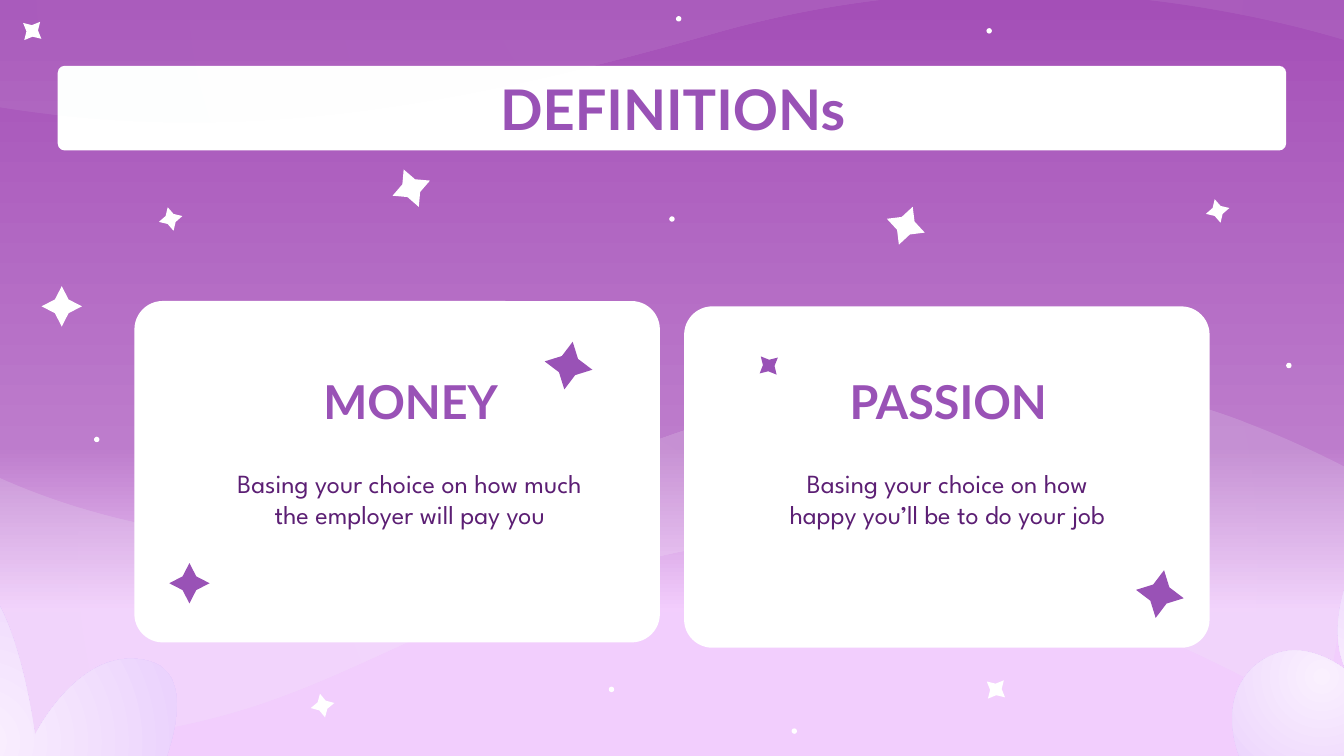
import math

import pptx
import pptx.dml.color
import pptx.enum.shapes
import pptx.enum.text
import pptx.oxml
import pptx.oxml.ns
import pptx.util
from lxml import etree

Inches = pptx.util.Inches
qn = pptx.oxml.ns.qn
SHAPES = pptx.enum.shapes.MSO_SHAPE

PAGE_WIDTH, PAGE_HEIGHT = 10, 10 * 9 / 16
WHITE, PURPLE, PLUM = "FFFFFF", "9952B6", "5C1F74"
SKY = [(0, "F2CEFD", 100), (19, "F3CEFD", 100), (41, "BD7CCC", 100), (100, "A44FB7", 100)]
CLOUD = [(0, "FAF0FE", 100), (100, "E3C3FC", 100)]

# Outlines: a pair is a straight point, six numbers are a Bezier curve
TOP_WAVE = [
    (1.41, 0.91), (0.34, 0.91, -0.72, 0.72, -1.89, 0.3), (-1.5, -1.13),
    (-1.5, -1.13, 0.97, -0.09, 3.27, -0.09), (3.57, -0.09, 3.87, -0.1, 4.16, -0.14),
    (6.66, -0.5, 7.18, -1.2, 9.62, -1.25), (10.1, -1.26, 10.42, -1.27, 10.62, -1.27),
    (11.41, -1.27, 10.28, -1.2, 10.28, -1.2), (10.45, 0.45),
    (10.45, 0.45, 9.23, -0.06, 7.54, -0.06), (6.86, -0.06, 6.12, 0.02, 5.34, 0.24),
    (3.88, 0.66, 2.63, 0.91, 1.41, 0.91)]
BOTTOM_WAVE = [
    (7.35, 2.78), (8.27, 2.78, 9.17, 3.02, 10.17, 3.56), (9.84, 5.36),
    (9.84, 5.36, 7.73, 4.04, 5.76, 4.04), (5.5, 4.04, 5.24, 4.06, 4.99, 4.12),
    (2.85, 4.56, 2.41, 5.45, 0.33, 5.51), (-0.09, 5.53, -0.36, 5.53, -0.53, 5.53),
    (-1.21, 5.53, -0.24, 5.45, -0.24, 5.45), (-0.39, 3.36),
    (-0.39, 3.36, 0.65, 4.01, 2.11, 4.01), (2.68, 4.01, 3.32, 3.91, 3.98, 3.63),
    (5.24, 3.1, 6.3, 2.78, 7.35, 2.78)]
RIGHT_CLOUD = [
    (10.44, 3.95), (10.59, 3.95, 10.72, 4.03, 10.72, 4.03), (10.85, 6.06),
    (10.85, 6.06, 10.16, 6.12, 9.6, 6.12), (9.17, 6.12, 8.82, 6.09, 8.86, 5.97),
    (8.95, 5.74, 9.16, 5.71, 9.24, 5.71), (9.25, 5.71, 9.26, 5.72, 9.26, 5.72),
    (9.26, 5.72, 9.02, 5.27, 9.32, 4.97), (9.42, 4.88, 9.53, 4.84, 9.63, 4.84),
    (9.84, 4.84, 10.02, 4.99, 10.02, 4.99), (10.02, 4.99, 9.85, 4.72, 10.06, 4.23),
    (10.16, 4.01, 10.31, 3.95, 10.44, 3.95)]
LEFT_CLOUD = [
    (-0.22, 4.29), (-0.26, 4.28, -0.3, 4.28, -0.34, 4.3),
    (-0.77, 4.46, -0.67, 5.32, -0.67, 5.32), (-0.67, 5.32, -1.09, 5.06, -1.34, 4.99),
    (-1.46, 4.95, -1.55, 4.97, -1.52, 5.08), (-1.42, 5.44, -2.11, 5.55, -2.11, 5.55),
    (-1.59, 5.85), (1.35, 6.66), (1.7, 6.76, 1.81, 6.18, 1.52, 6.09),
    (1.5, 6.09, 1.49, 6.09, 1.48, 6.09), (1.14, 6.05, 1.04, 6.09, 1.04, 6.09),
    (1.04, 6.09, 1.61, 5.06, 1.11, 4.92), (0.6, 4.78, 0.26, 5.47, 0.26, 5.47),
    (0.26, 5.47, 0.12, 4.38, -0.22, 4.29)]

# Stars: centre x, centre y, radius, clockwise tilt
BACK_STARS = [(0.46, 2.28, 0.15, 0), (2.4, 5.25, 0.09, -12),
              (7.41, 5.13, 0.09, 41), (0.24, 0.23, 0.09, 41)]
FRONT_STARS = [(3.06, 1.4, 0.15, -22), (6.74, 1.68, 0.15, 20),
               (1.27, 1.63, 0.09, -14), (9.06, 1.57, 0.09, -14)]
CARD_STARS = [(4.23, 2.72, 0.18, 10), (1.41, 4.34, 0.15, 0),
              (5.72, 2.72, 0.09, -41), (8.63, 4.42, 0.18, 10)]
DOTS = [(9.57, 2.7), (5.03, 0.12), (7.34, 0.21), (4.53, 5.11),
        (5.89, 5.42), (0.7, 3.25), (4.98, 1.61)]


def color(value):
    return pptx.dml.color.RGBColor.from_string(value)


def paint(shape, fill):
    """Fill with a hex colour; no line, no shadow."""
    shape.shadow.inherit = False
    shape.fill.solid()
    shape.fill.fore_color.rgb = color(fill)
    shape.line.fill.background()


def paint_gradient(shape, stops, angle=None):
    """Linear gradient when an angle is given, otherwise radial from the middle."""
    paint(shape, WHITE)
    shape.fill.gradient()
    gradient = shape._element.spPr.find(qn("a:gradFill"))
    for child in list(gradient):
        gradient.remove(child)
    stop_list = etree.SubElement(gradient, qn("a:gsLst"))
    for position, value, opacity in stops:
        stop = etree.SubElement(stop_list, qn("a:gs"), pos=str(position * 1000))
        tone = etree.SubElement(stop, qn("a:srgbClr"), val=value)
        if opacity < 100:
            etree.SubElement(tone, qn("a:alpha"), val=str(opacity * 1000))
    if angle is None:
        radial = etree.SubElement(gradient, qn("a:path"), path="circle")
        etree.SubElement(radial, qn("a:fillToRect"), l="50000", t="50000", r="50000", b="50000")
    else:
        etree.SubElement(gradient, qn("a:lin"), ang=str(angle * 60000), scaled="0")


def add_preset(page, kind, left, top, width, height, fill=WHITE):
    shape = page.shapes.add_shape(kind, Inches(left), Inches(top), Inches(width), Inches(height))
    if kind == SHAPES.ROUNDED_RECTANGLE:
        shape.adjustments[0] = 0.083
    paint(shape, fill)
    return shape


def add_outline(page, segments):
    """Build a closed freeform, then join each curve's three points."""
    points = [(Inches(seg[i]), Inches(seg[i + 1])) for seg in segments for i in range(0, len(seg), 2)]
    builder = page.shapes.build_freeform(*points[0])
    builder.add_line_segments(points[1:], close=True)
    shape = builder.convert_to_shape()
    lines = iter(list(shape._element.iter(qn("a:lnTo"))))
    for segment in segments[1:]:
        first = next(lines)
        if len(segment) == 6:
            curve = etree.Element(qn("a:cubicBezTo"))
            first.addprevious(curve)
            for line in (first, next(lines), next(lines)):
                curve.append(line[0])
                line.getparent().remove(line)
    return shape


def add_stars(page, stars, fill):
    for x, y, radius, tilt in stars:
        points = []
        for step in range(8):
            angle = math.radians(tilt + 45 * step)
            reach = radius * (0.48 if step % 2 else 1)
            points.append((x + reach * math.sin(angle), y - reach * math.cos(angle)))
        paint(add_outline(page, points), fill)


def fill_placeholder(page, index, text, place, font, size, tone, bold=False):
    box = page.placeholders[index]
    box.left, box.top, box.width, box.height = map(Inches, place)
    page.shapes._spTree.append(box._element)
    frame = box.text_frame
    frame.text = text
    frame.word_wrap = True
    frame.auto_size = pptx.enum.text.MSO_AUTO_SIZE.NONE
    frame.vertical_anchor = pptx.enum.text.MSO_ANCHOR.MIDDLE
    frame.margin_left = frame.margin_right = frame.margin_top = frame.margin_bottom = Inches(0.1)
    para = frame.paragraphs[0]
    properties = para._p.get_or_add_pPr()
    properties.set("marL", "0")
    properties.set("indent", "0")
    etree.SubElement(properties, qn("a:buNone"))
    para.alignment = pptx.enum.text.PP_ALIGN.CENTER
    para.space_before = pptx.util.Pt(0)
    span = para.runs[0].font
    span.name, span.size, span.bold = font, pptx.util.Pt(size), bold
    span.color.rgb = color(tone)


def add_background(page, width, height):
    sky = add_preset(page, SHAPES.RECTANGLE, 0, 0, width, height)
    paint_gradient(sky, SKY, 270)
    add_preset(page, SHAPES.ROUNDED_RECTANGLE, 0.43, 0.49, 9.14, 0.63)
    for wave, opacity in ((TOP_WAVE, 8), (BOTTOM_WAVE, 17)):
        paint_gradient(add_outline(page, wave), [(0, "FAFAFA", opacity), (100, "EDF2F6", opacity)])
    add_stars(page, BACK_STARS, WHITE)
    for left, top in DOTS:
        add_preset(page, SHAPES.OVAL, left, top, 0.04, 0.04)


def add_card(page, left, top, first_index, heading, body, center, text_top, body_width):
    """center and text_top are measured from the card's corner."""
    add_preset(page, SHAPES.ROUNDED_RECTANGLE, left, top, 3.91, 2.54)
    middle, upper = left + center, top + text_top
    fill_placeholder(page, first_index, heading, (middle - 1.4, upper, 2.81, 0.67),
                     "Lato", 25, PURPLE, True)
    fill_placeholder(page, first_index + 1, body,
                     (middle - body_width / 2, upper + 0.67, body_width, 0.78),
                     "League Spartan", 14, PLUM)


def main():
    deck = pptx.Presentation()
    deck.slide_width, deck.slide_height = Inches(PAGE_WIDTH), Inches(PAGE_HEIGHT)
    page = deck.slides.add_slide(deck.slide_layouts.get_by_name("Comparison"))

    add_background(page, PAGE_WIDTH, PAGE_HEIGHT)
    fill_placeholder(page, 0, "DEFINITIONs", (0.79, 0.49, 8.43, 0.63), "Lato", 30, PURPLE, True)
    add_card(page, 1, 2.24, 1, "MONEY",
             "Basing your choice on how much the employer will pay you", 2.05, 0.41, 3.01)
    add_card(page, 5.09, 2.28, 3, "PASSION",
             "Basing your choice on how happy you’ll be to do your job", 1.96, 0.37, 2.81)

    # Foreground clouds and stars
    for cloud in (RIGHT_CLOUD, LEFT_CLOUD):
        paint_gradient(add_outline(page, cloud), CLOUD)
    add_stars(page, FRONT_STARS, WHITE)
    add_stars(page, CARD_STARS, PURPLE)
    deck.save("out.pptx")


if __name__ == "__main__":
    main()
